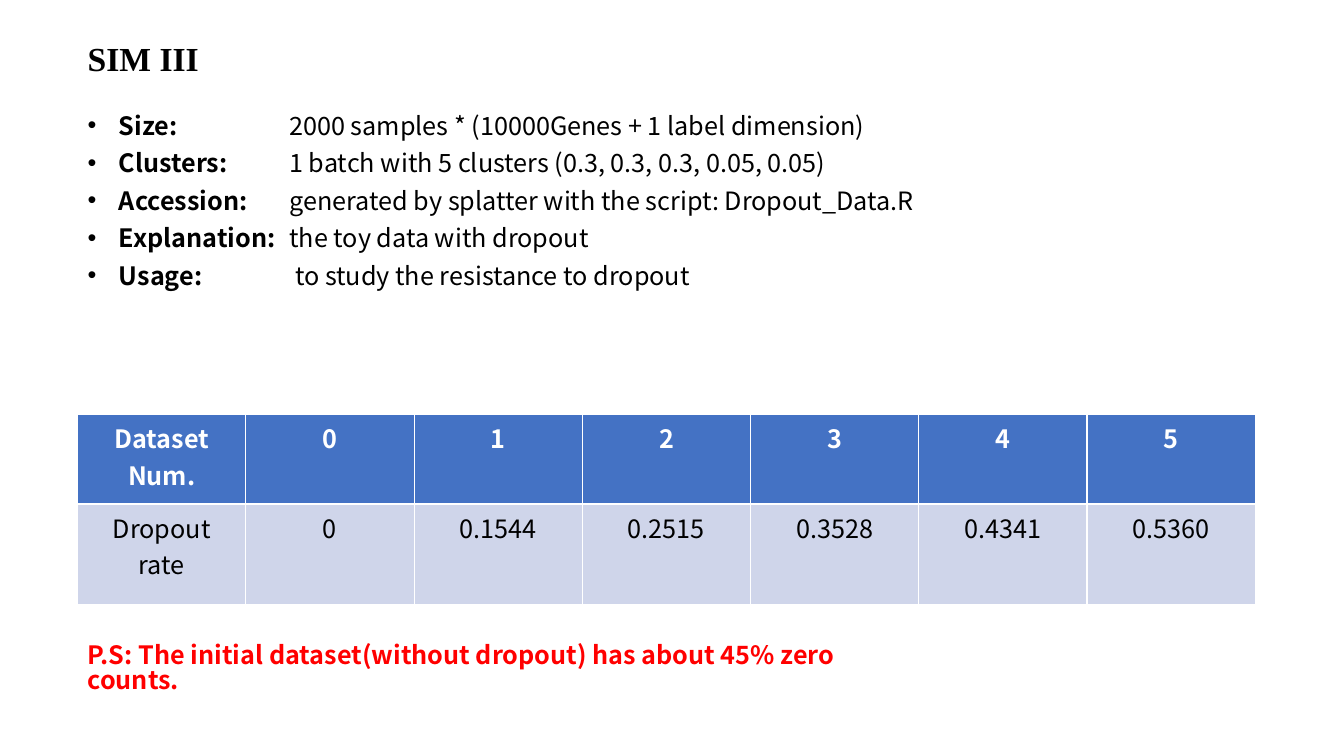
from lxml.etree import SubElement
from pptx import Presentation
from pptx.dml.color import RGBColor
from pptx.enum.text import MSO_ANCHOR, MSO_AUTO_SIZE, PP_ALIGN
from pptx.oxml.ns import qn
from pptx.util import Inches, Pt

BODY_FONT = "Noto Sans CJK SC"
LEFT = Inches(0.77)


def colour(hex_code):
    return RGBColor.from_string(hex_code)


def style(run, hex_code, bold, size=18, font=BODY_FONT):
    run.font.name = font
    run.font.size = Pt(size)
    run.font.bold = bold
    run.font.color.rgb = colour(hex_code)


deck = Presentation()
deck.slide_width, deck.slide_height = Inches(13.33), Inches(7.5)
slide = deck.slides.add_slide(deck.slide_layouts[1])

# Title
title = slide.shapes.title
title.left, title.top, title.width, title.height = LEFT, Inches(0.33), Inches(3.58), Inches(0.5)
title.text_frame.text = "SIM III"
title.text_frame.auto_size = MSO_AUTO_SIZE.NONE
title.text_frame.vertical_anchor = MSO_ANCHOR.MIDDLE
heading = title.text_frame.paragraphs[0]
heading.alignment = PP_ALIGN.LEFT
style(heading.runs[0], "000000", True, 24, "Times New Roman")

# Dataset facts: bold label, tab stop, description
facts = [
    ("Size:", "2000 samples * (10000Genes + 1 label dimension)"),
    ("Clusters:", "1 batch with 5 clusters (0.3, 0.3, 0.3, 0.05, 0.05)"),
    ("Accession:", "generated by splatter with the script: Dropout_Data.R"),
    ("Explanation:", "the toy data with dropout"),
    ("Usage:", " to study the resistance to dropout"),
]
fact_list = slide.placeholders[1]
fact_list.left, fact_list.top = LEFT, Inches(0.97)
fact_list.width, fact_list.height = Inches(11.79), Inches(2.33)
fact_frame = fact_list.text_frame
fact_frame.auto_size = MSO_AUTO_SIZE.NONE
for index, (label, description) in enumerate(facts):
    fact = fact_frame.paragraphs[0] if index == 0 else fact_frame.add_paragraph()
    fact.line_spacing = 1.24
    fact.space_before = Pt(0)
    for words, bold in ((label + "\t", True), (description, False)):
        run = fact.add_run()
        run.text = words
        style(run, "000000", bold)
    properties = fact._p.get_or_add_pPr()
    properties.set("marL", str(Inches(0.31)))
    properties.set("indent", str(-Inches(0.31)))
    SubElement(properties, qn("a:buFont"), typeface="Arial")
    SubElement(properties, qn("a:buChar"), char="•")
    tabs = SubElement(properties, qn("a:tabLst"))
    SubElement(tabs, qn("a:tab"), pos=str(Inches(2)), algn="l")

# Dropout table
rows = [
    ("Dataset Num.", "0", "1", "2", "3", "4", "5"),
    ("Dropout rate", "0", "0.1544", "0.2515", "0.3528", "0.4341", "0.5360"),
]
row_styles = [("4472C4", "FFFFFF", True, 0.89), ("CFD5EA", "000000", False, 1.0)]
dropout = slide.shapes.add_table(
    2, 7, LEFT, Inches(4.11), Inches(11.68), Inches(1.89)).table
for row, (values, (fill, ink, bold, height)) in enumerate(zip(rows, row_styles)):
    dropout.rows[row].height = Inches(height)
    for column, value in enumerate(values):
        cell = dropout.cell(row, column)
        cell.fill.solid()
        cell.fill.fore_color.rgb = colour(fill)
        cell.text_frame.text = value
        entry = cell.text_frame.paragraphs[0]
        entry.alignment = PP_ALIGN.CENTER
        style(entry.runs[0], ink, bold)

# Postscript
postscript = slide.shapes.add_textbox(LEFT, Inches(6.34), Inches(8.02), Inches(0.4)).text_frame
postscript.word_wrap = True
postscript.text = "P.S: The initial dataset(without dropout) has about 45% zero counts."
postscript.paragraphs[0].line_spacing = 0.83
style(postscript.paragraphs[0].runs[0], "FF0000", True)

deck.save("out.pptx")
